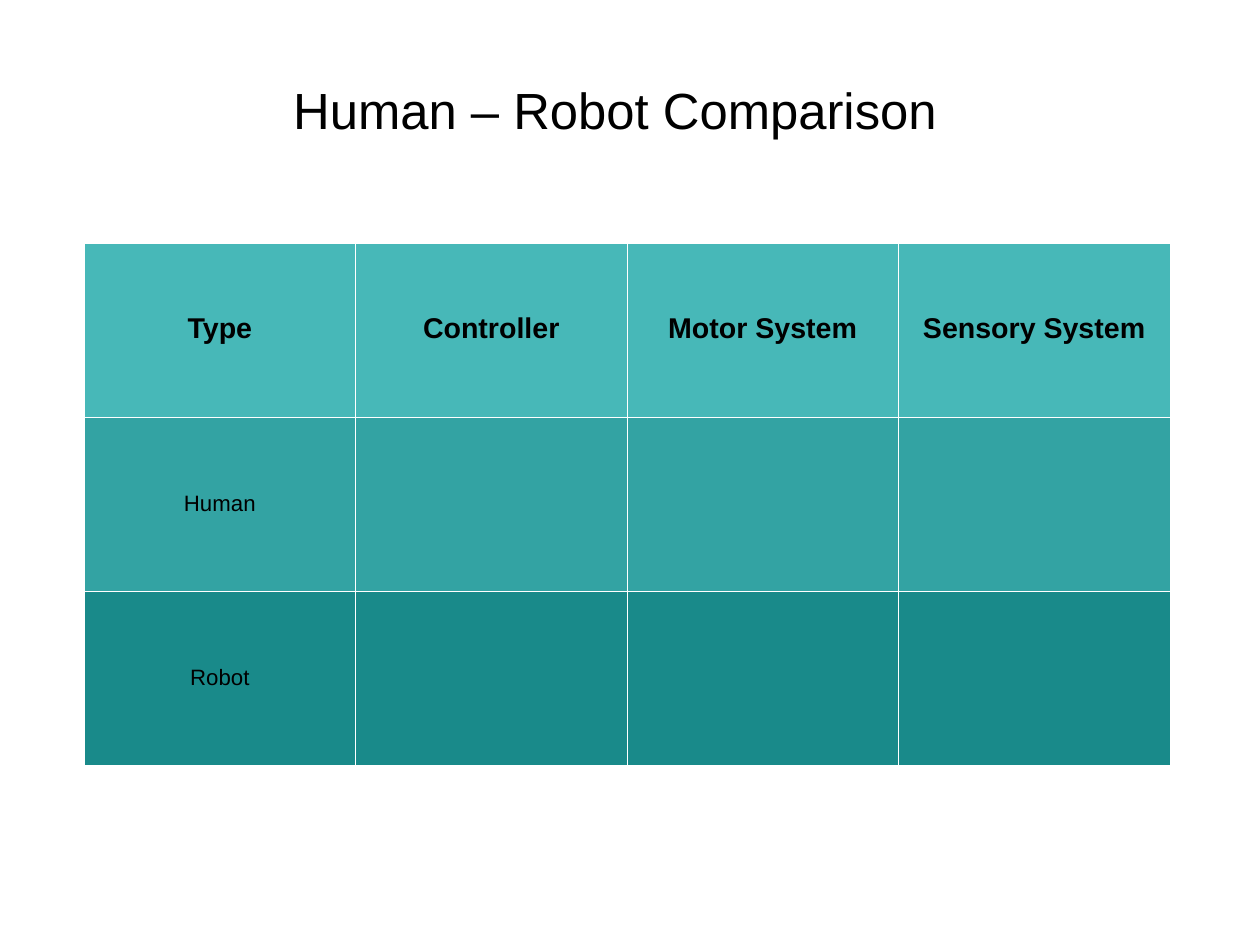
from pptx import Presentation
from pptx.dml.color import RGBColor
from pptx.enum.text import MSO_ANCHOR as Anchor, PP_ALIGN as Align
from pptx.oxml import parse_xml
from pptx.oxml.ns import nsdecls
from pptx.util import Pt

HEADINGS = ["Type", "Controller", "Motor System", "Sensory System"]
ROWS = [HEADINGS, ["Human"], ["Robot"]]
ROW_FILLS = ["47B8B8", "33A3A3", "198A8A"]


def color(value):
    return RGBColor.from_string(value)


def write(frame, text, size, bold=False, font="Arial", ink="000000"):
    paragraph = frame.paragraphs[0]
    paragraph.alignment = Align.CENTER
    paragraph.line_spacing = 0.93
    paragraph.space_before = Pt(0)
    run = paragraph.add_run()
    run.text = text
    run.font.name = font
    run.font.size = Pt(size)
    run.font.bold = bold
    run.font.color.rgb = color(ink)


def add_title(slide, left, top, width, height):
    title = slide.shapes.title
    title.left, title.top = Pt(left), Pt(top)
    title.width, title.height = Pt(width), Pt(height)
    frame = title.text_frame
    frame.word_wrap = True
    frame.vertical_anchor = Anchor.MIDDLE
    frame.margin_left = frame.margin_bottom = Pt(0)
    frame.margin_top = Pt(2)
    frame.margin_right = Pt(18)
    write(frame, "Human – Robot Comparison", size=32)


def add_borders(cell, line="FFFFFF", width=0.06):
    properties = cell._tc.get_or_add_tcPr()
    for side in "LRTB":
        properties.append(parse_xml(
            f'<a:ln{side} {nsdecls("a")} w="{Pt(width)}"><a:solidFill>'
            f'<a:srgbClr val="{line}"/></a:solidFill></a:ln{side}>'))


def add_comparison(slide, left, top, width, height):
    table = slide.shapes.add_table(
        len(ROWS), len(HEADINGS), Pt(left), Pt(top), Pt(width), Pt(height)).table
    table.horz_banding = False
    for row_index, (texts, fill) in enumerate(zip(ROWS, ROW_FILLS)):
        for cell in table.rows[row_index].cells:
            add_borders(cell)
            cell.fill.solid()
            cell.fill.fore_color.rgb = color(fill)
            cell.vertical_anchor = Anchor.MIDDLE
        is_heading = row_index == 0
        for column_index, text in enumerate(texts):
            write(table.cell(row_index, column_index).text_frame, text,
                  size=18 if is_heading else 14, bold=is_heading)


def main():
    presentation = Presentation()
    presentation.slide_width = Pt(793.75)
    presentation.slide_height = Pt(595.25)
    slide = presentation.slides.add_slide(presentation.slide_layouts[5])
    add_title(slide, 151.2, 41.3, 491, 56.9)
    add_comparison(slide, 53, 153, 684, 329.2)
    presentation.save("out.pptx")


if __name__ == "__main__":
    main()
